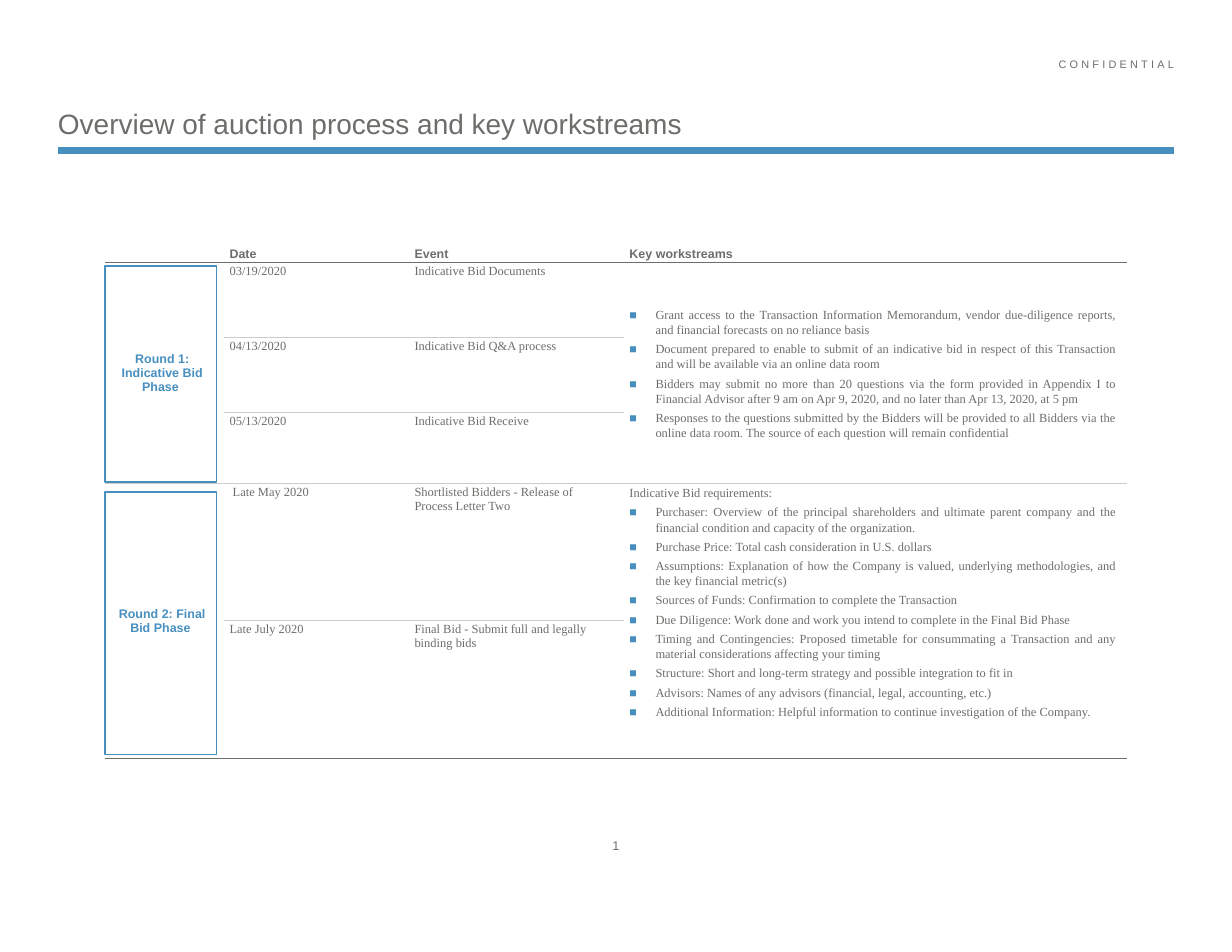
"""Build a one-page overview of an auction timetable and its workstreams."""
from lxml import etree
from pptx import Presentation, util as u
from pptx.dml.color import RGBColor
from pptx.enum import shapes, text
from pptx.oxml import ns

COLORS = {"grey": "6D6E6A", "blue": "478FBF", "light": "CCCDCB"}
SANS, SERIF = "Arial", "Times New Roman"
EMU_PER_PX = 914400 / 112

TITLE = "Overview of auction process and key workstreams"
HEADERS = ["Date", "Event", "Key workstreams"]
PHASES = [
    {
        "name": "Round 1: Indicative Bid Phase ",
        "events": [
            ("03/19/2020", "Indicative Bid Documents"),
            ("04/13/2020", "Indicative Bid Q&A process"),
            ("05/13/2020", "Indicative Bid Receive"),
        ],
        "intro": None,
        "work": [
            "Grant access to the Transaction Information Memorandum, vendor due-diligence reports, and financial forecasts on no reliance basis",
            "Document prepared to enable to submit of an indicative bid in respect of this Transaction and will be available via an online data room",
            "Bidders may submit no more than 20 questions via the form provided in Appendix I to Financial Advisor after 9 am on Apr 9, 2020, and no later than Apr 13, 2020, at 5 pm",
            "Responses to the questions submitted by the Bidders will be provided to all Bidders via the online data room. The source of each question will remain confidential",
        ],
        "anchor": text.MSO_ANCHOR.MIDDLE,
        "frame": (105, 266, 112, 216),
    },
    {
        "name": "Round 2: Final Bid Phase ",
        "events": [
            (" Late May 2020", "Shortlisted Bidders - Release of Process Letter Two"),
            ("Late July 2020", "Final Bid - Submit full and legally binding bids"),
        ],
        "intro": "Indicative Bid requirements:",
        "work": [
            "Purchaser: Overview of the principal shareholders and ultimate parent company and the financial condition and capacity of the organization.",
            "Purchase Price: Total cash consideration in U.S. dollars",
            "Assumptions: Explanation of how the Company is valued, underlying methodologies, and the key financial metric(s)",
            "Sources of Funds: Confirmation to complete the Transaction",
            "Due Diligence: Work done and work you intend to complete in the Final Bid Phase",
            "Timing and Contingencies: Proposed timetable for consummating a Transaction and any material considerations affecting your timing",
            "Structure: Short and long-term strategy and possible integration to fit in",
            "Advisors: Names of any advisors (financial, legal, accounting, etc.)",
            "Additional Information: Helpful information to continue investigation of the Company.",
        ],
        "anchor": text.MSO_ANCHOR.TOP,
        "frame": (105, 492, 112, 263),
    },
]
TABLE_LEFT, TABLE_TOP = 105, 241
COLUMNS = [119, 185, 215, 503]
ROWS = [21, 75, 75, 71, 137, 138]


def px(length):
    return u.Emu(round(length * EMU_PER_PX))


def color(name):
    return RGBColor.from_string(COLORS[name])


def style(para, size, font=SANS, ink="grey", bold=False, align=None):
    para.font.size = u.Pt(size)
    para.font.name = font
    para.font.bold = bold
    para.font.color.rgb = color(ink)
    para.alignment = align


def add_text(page, place, words, size, align, anchor, spacing=1.0, wrap=True):
    box = page.shapes.add_textbox(*map(px, place))
    frame = box.text_frame
    frame.margin_left = frame.margin_right = frame.margin_top = frame.margin_bottom = 0
    frame.word_wrap = wrap
    frame.vertical_anchor = anchor
    para = frame.paragraphs[0]
    para.text = words
    para.line_spacing = spacing
    style(para, size, align=align)
    return para


def add_bullet(para):
    props = para._p.get_or_add_pPr()
    props.set("marL", str(px(26)))
    props.set("indent", str(-px(26)))
    bullet = [etree.Element(ns.qn(f"a:{tag}")) for tag in ("buClr", "buFont", "buChar")]
    etree.SubElement(bullet[0], ns.qn("a:srgbClr"), val=COLORS["blue"])
    bullet[1].set("typeface", SANS)
    bullet[2].set("char", "■")
    defaults = props.find(ns.qn("a:defRPr"))
    for part in bullet:
        defaults.addprevious(part)


def set_borders(cell, top, bottom):
    props = cell._tc.get_or_add_tcPr()
    sides = {"lnL": None, "lnR": None, "lnT": top, "lnB": bottom}
    for index, (side, ink) in enumerate(sides.items()):
        line = etree.Element(ns.qn(f"a:{side}"), w=str(u.Pt(0.5)))
        fill = etree.SubElement(line, ns.qn("a:solidFill" if ink else "a:noFill"))
        if ink:
            etree.SubElement(fill, ns.qn("a:srgbClr"), val=COLORS[ink])
        props.insert(index, line)


def fill_cell(cell, words, font=SERIF, ink="grey", bold=False, align=None,
              anchor=text.MSO_ANCHOR.TOP, before=0):
    cell.vertical_anchor = anchor
    para = cell.text_frame.paragraphs[0]
    para.text = words
    para.space_before, para.space_after = u.Pt(before), u.Pt(3)
    style(para, 8, font, ink, bold, align)


def fill_work(cell, phase):
    cell.vertical_anchor = phase["anchor"]
    lines = [(phase["intro"], False)] if phase["intro"] else []
    lines += [(words, True) for words in phase["work"]]
    for index, (words, bulleted) in enumerate(lines):
        para = cell.text_frame.add_paragraph() if index else cell.text_frame.paragraphs[0]
        para.text = words
        para.line_spacing, para.space_before = 1.1, u.Pt(2.6)
        style(para, 8, SERIF, align=text.PP_ALIGN.JUSTIFY if bulleted else None)
        if bulleted:
            add_bullet(para)


def add_schedule(page):
    size = TABLE_LEFT, TABLE_TOP, sum(COLUMNS), sum(ROWS)
    table = page.shapes.add_table(len(ROWS), len(COLUMNS), *map(px, size)).table
    table.first_row = table.horz_banding = False
    for column, width in zip(table.columns, COLUMNS):
        column.width = px(width)
    for row, height in zip(table.rows, ROWS):
        row.height = px(height)
    rules = [None, "grey"] + ["light"] * (len(ROWS) - 2) + ["grey"]
    spans = {0: (0, 0)}
    start = 1
    for phase in PHASES:
        end = start + len(phase["events"]) - 1
        spans.update({row: (start, end) for row in range(start, end + 1)})
        start = end + 1
    for row in range(len(ROWS)):
        for column in range(len(COLUMNS)):
            cell = table.cell(row, column)
            cell.fill.background()
            cell.margin_left, cell.margin_right = u.Inches(0.05), u.Inches(0.09)
            cell.margin_top, cell.margin_bottom = u.Inches(0.02), u.Inches(0 if row else 0.01)
            first, last = spans[row] if column in (0, 3) else (row, row)
            set_borders(cell, rules[first], rules[last + 1])
            style(cell.text_frame.paragraphs[0], 8)
    for column, words in enumerate(HEADERS, 1):
        fill_cell(table.cell(0, column), words, SANS, bold=True, anchor=text.MSO_ANCHOR.BOTTOM)
    start = 1
    for phase in PHASES:
        end = start + len(phase["events"]) - 1
        for column in (0, 3):
            table.cell(start, column).merge(table.cell(end, column))
        fill_cell(table.cell(start, 0), phase["name"], SANS, "blue", True,
                  text.PP_ALIGN.CENTER, text.MSO_ANCHOR.MIDDLE, 2.6)
        fill_work(table.cell(start, 3), phase)
        for row, event in enumerate(phase["events"], start):
            for column, words in enumerate(event, 1):
                fill_cell(table.cell(row, column), words)
        start = end + 1


def main():
    deck = Presentation()
    deck.slide_width, deck.slide_height = px(1232), px(952)
    page = deck.slides.add_slide(deck.slide_layouts[6])
    rule = page.shapes.add_connector(shapes.MSO_CONNECTOR.STRAIGHT, px(58), px(151), px(1174), px(151))
    rule.line.color.rgb, rule.line.width = color("blue"), u.Pt(4.5)
    etree.SubElement(rule._element.spPr, ns.qn("a:effectLst"))
    label = add_text(page, (295, 56, 879, 27), "CONFIDENTIAL", 7,
                     text.PP_ALIGN.RIGHT, text.MSO_ANCHOR.TOP, 1.1)
    label.runs[0]._r.get_or_add_rPr().set("spc", "210")
    add_text(page, (58, 56, 1116, 84), TITLE, 18, text.PP_ALIGN.LEFT, text.MSO_ANCHOR.BOTTOM)
    add_text(page, (603, 835, 26, 20), "1", 8.2, text.PP_ALIGN.CENTER,
             text.MSO_ANCHOR.MIDDLE, 1.1, False)
    add_schedule(page)
    for phase in PHASES:
        frame = page.shapes.add_shape(shapes.MSO_SHAPE.RECTANGLE, *map(px, phase["frame"]))
        frame.shadow.inherit = False
        frame.fill.background()
        frame.line.color.rgb, frame.line.width = color("blue"), u.Pt(0.75)
    deck.save("out.pptx")


if __name__ == "__main__":
    main()
